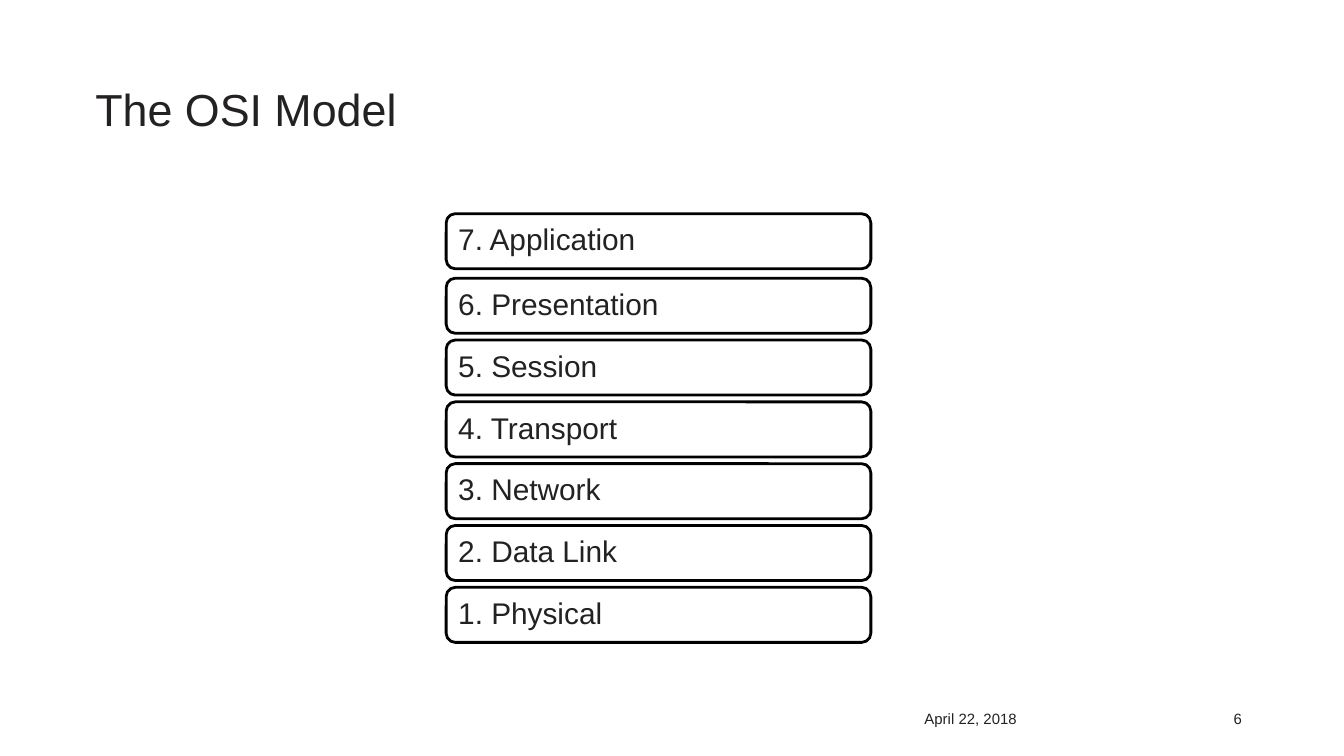
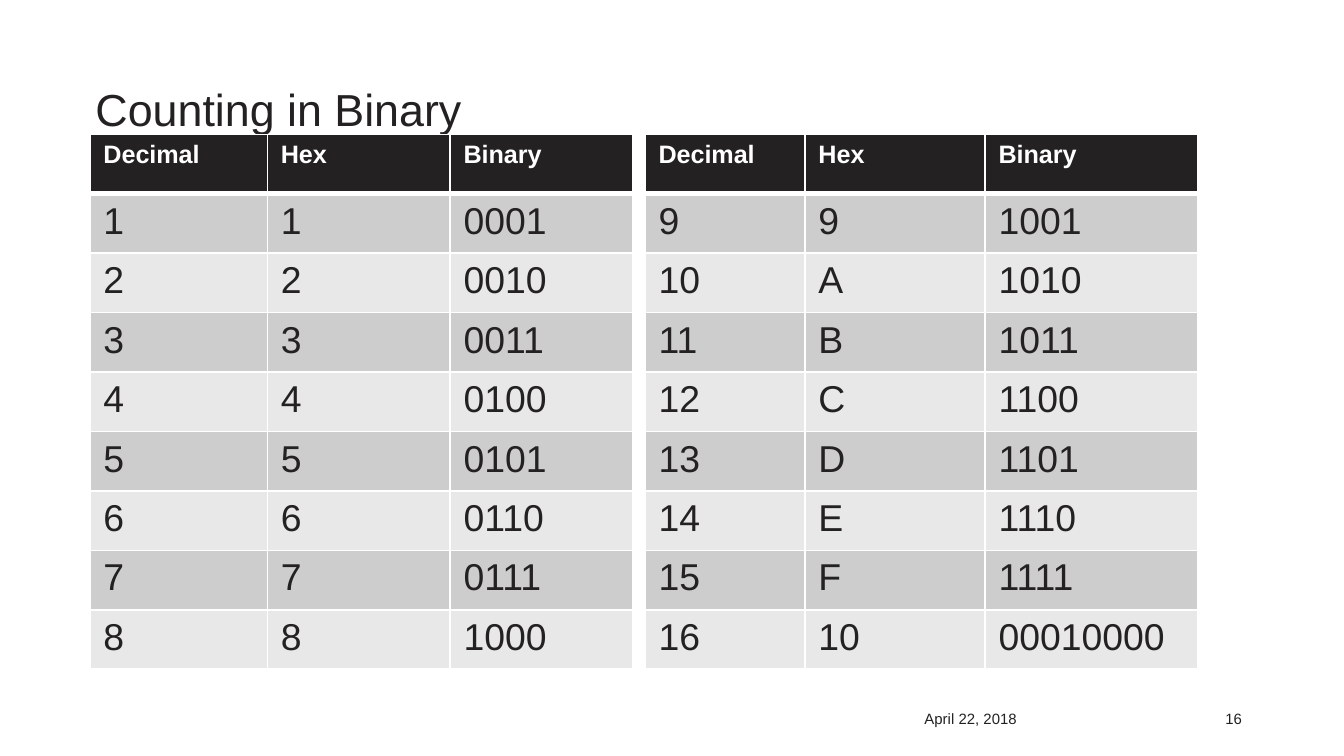
import pptx
import pptx.util
import pptx.dml.color
import pptx.enum.shapes
import pptx.enum.text
import pptx.oxml.ns
import lxml.etree

Inches = pptx.util.Inches
Pt = pptx.util.Pt
RGBColor = pptx.dml.color.RGBColor
Align = pptx.enum.text.PP_ALIGN
Anchor = pptx.enum.text.MSO_ANCHOR

LAYERS_TITLE = "The OSI Model"
LAYERS_PAGE = 6
LAYERS = [
    "7. Application",
    "6. Presentation",
    "5. Session",
    "4. Transport",
    "3. Network",
    "2. Data Link",
    "1. Physical",
]

COUNTING_TITLE = "Counting in Binary"
COUNTING_PAGE = 16
HEADINGS = ("Decimal", "Hex", "Binary")
COUNTING_TABLES = [
    {
        "left": 0.67,
        "columns": (1.32, 1.36, 1.36),
        "rows": [
            ("1", "1", "0001"), ("2", "2", "0010"),
            ("3", "3", "0011"), ("4", "4", "0100"),
            ("5", "5", "0101"), ("6", "6", "0110"),
            ("7", "7", "0111"), ("8", "8", "1000"),
        ],
    },
    {
        "left": 4.8,
        "columns": (1.19, 1.34, 1.58),
        "rows": [
            ("9", "9", "1001"), ("10", "A", "1010"),
            ("11", "B", "1011"), ("12", "C", "1100"),
            ("13", "D", "1101"), ("14", "E", "1110"),
            ("15", "F", "1111"), ("16", "10", "00010000"),
        ],
    },
]
DATE = "April 22, 2018"

FONT = "Arial"
INK = RGBColor(0x23, 0x21, 0x21)
WHITE = RGBColor(0xFF, 0xFF, 0xFF)
BLACK = RGBColor(0x00, 0x00, 0x00)
DARK_BAND = RGBColor(0xCD, 0xCD, 0xCD)
LIGHT_BAND = RGBColor(0xE8, 0xE8, 0xE8)

SLIDE_WIDTH = 10
SLIDE_HEIGHT = SLIDE_WIDTH * 9 / 16
TITLE_BOX = (0.71, 0.65, 8.62, 0.82)
FOOTER_TOP, FOOTER_HEIGHT = 5.23, 0.2
DATE_LEFT, DATE_WIDTH = 6.78, 2.05
PAGE_WIDTH = 0.51
LAYER_LEFT, LAYER_WIDTH, LAYER_HEIGHT = 3.32, 3.16, 0.41
TOP_LAYER, SECOND_LAYER, LAYER_STEP = 1.59, 2.07, 0.46
TABLE_TOP, TABLE_HEIGHT = 1, 3.98
THIN, THICK = 1, 3


def format_text(text_frame, size, color=INK, bold=False, align=Align.LEFT, spacing=None):
    for paragraph in text_frame.paragraphs:
        paragraph.alignment = align
        paragraph.line_spacing = spacing
        for run in paragraph.runs:
            run.font.name = FONT
            run.font.size = Pt(size)
            run.font.bold = bold
            run.font.color.rgb = color


def set_margins(text_frame, left, top):
    text_frame.margin_left = text_frame.margin_right = Inches(left)
    text_frame.margin_top = text_frame.margin_bottom = Inches(top)


def add_footer_text(slide, text, left, width, align):
    box = slide.shapes.add_textbox(
        Inches(left), Inches(FOOTER_TOP), Inches(width), Inches(FOOTER_HEIGHT))
    box.text_frame.word_wrap = True
    box.text_frame.text = text
    format_text(box.text_frame, 8, align=align)


def add_slide(presentation, title_text, page):
    slide = presentation.slides.add_slide(presentation.slide_layouts[5])
    title = slide.shapes.title
    title.left, title.top, title.width, title.height = map(Inches, TITLE_BOX)
    title.text_frame.text = title_text
    title.text_frame.auto_size = pptx.enum.text.MSO_AUTO_SIZE.NONE
    title.text_frame.vertical_anchor = Anchor.TOP
    set_margins(title.text_frame, 0, 0)
    format_text(title.text_frame, 24, spacing=0.9)
    add_footer_text(slide, DATE, DATE_LEFT, DATE_WIDTH, Align.LEFT)
    add_footer_text(slide, str(page), DATE_LEFT + DATE_WIDTH, PAGE_WIDTH, Align.RIGHT)
    return slide


def add_layer(slide, index, text):
    top = SECOND_LAYER + (index - 1) * LAYER_STEP if index else TOP_LAYER
    shape = slide.shapes.add_shape(
        pptx.enum.shapes.MSO_SHAPE.ROUNDED_RECTANGLE,
        Inches(LAYER_LEFT), Inches(top), Inches(LAYER_WIDTH), Inches(LAYER_HEIGHT))
    shape.shadow.inherit = False
    shape.fill.solid()
    shape.fill.fore_color.rgb = WHITE
    shape.line.color.rgb = BLACK
    shape.line.width = Pt(1.5)
    shape.text_frame.text = text
    shape.text_frame.word_wrap = True
    shape.text_frame.vertical_anchor = Anchor.MIDDLE
    set_margins(shape.text_frame, 0.07, 0.07)
    format_text(shape.text_frame, 16, spacing=0.9)


def set_borders(cell, widths):
    properties = cell._tc.get_or_add_tcPr()
    qualified = pptx.oxml.ns.qn
    for side, width in widths.items():
        line = lxml.etree.SubElement(properties, qualified("a:ln" + side), w=str(Pt(width)))
        fill = lxml.etree.SubElement(line, qualified("a:solidFill"))
        lxml.etree.SubElement(fill, qualified("a:srgbClr"), val=str(WHITE))


def format_cell(cell, row_index):
    is_heading = row_index == 0
    set_borders(cell, {
        "L": THIN,
        "R": THIN,
        "T": THICK if row_index == 1 else THIN,
        "B": THICK if is_heading else THIN,
    })
    cell.fill.solid()
    if is_heading:
        cell.fill.fore_color.rgb = INK
        format_text(cell.text_frame, 13.5, WHITE, bold=True)
    else:
        cell.fill.fore_color.rgb = DARK_BAND if row_index % 2 else LIGHT_BAND
        format_text(cell.text_frame, 20)


def add_counting_table(slide, left, columns, rows):
    rows = [HEADINGS] + rows
    table = slide.shapes.add_table(
        len(rows), len(columns), Inches(left), Inches(TABLE_TOP),
        Inches(sum(columns)), Inches(TABLE_HEIGHT)).table
    for column, width in zip(table.columns, columns):
        column.width = Inches(width)
    for row_index, values in enumerate(rows):
        for column_index, value in enumerate(values):
            cell = table.cell(row_index, column_index)
            cell.text_frame.text = value
            format_cell(cell, row_index)


def main():
    presentation = pptx.Presentation()
    presentation.slide_width = Inches(SLIDE_WIDTH)
    presentation.slide_height = Inches(SLIDE_HEIGHT)

    layers_slide = add_slide(presentation, LAYERS_TITLE, LAYERS_PAGE)
    for index, text in enumerate(LAYERS):
        add_layer(layers_slide, index, text)

    counting_slide = add_slide(presentation, COUNTING_TITLE, COUNTING_PAGE)
    for counting_table in COUNTING_TABLES:
        add_counting_table(counting_slide, **counting_table)

    presentation.save("out.pptx")


if __name__ == "__main__":
    main()
